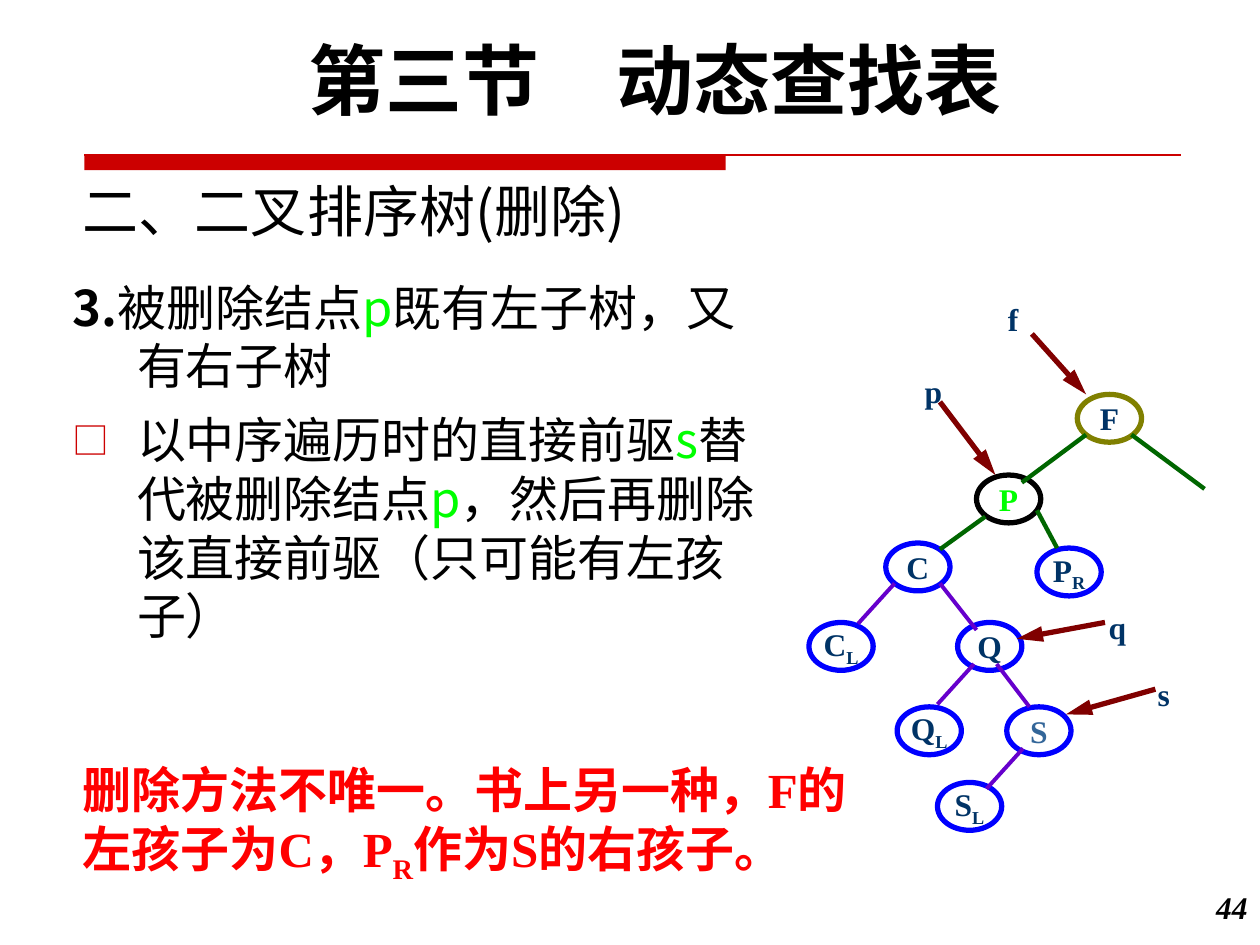
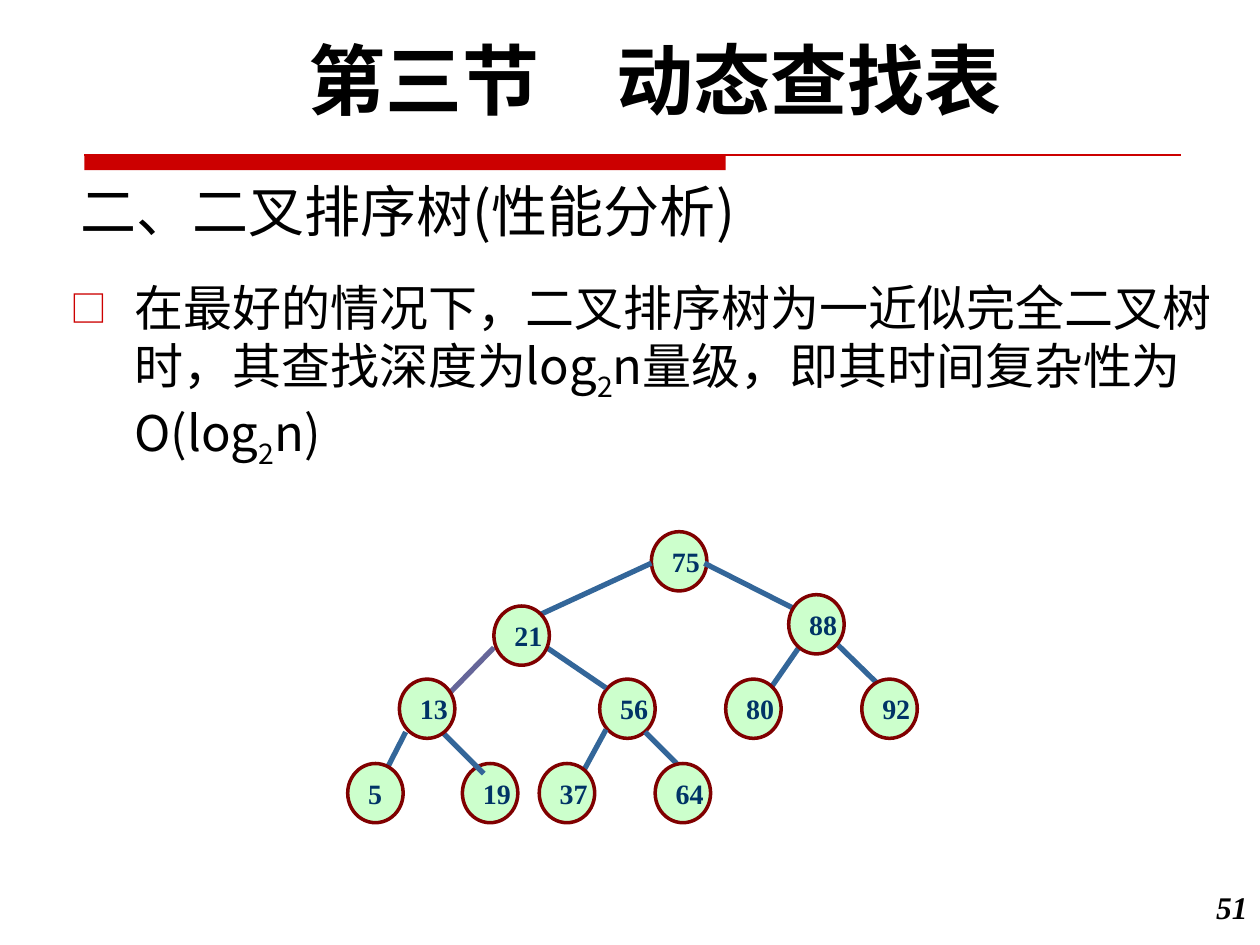
from dataclasses import dataclass
from typing import NamedTuple

from lxml import etree
from pptx import Presentation
from pptx.dml.color import RGBColor
from pptx.enum.shapes import MSO_CONNECTOR, MSO_SHAPE
from pptx.enum.text import MSO_ANCHOR, PP_ALIGN
from pptx.oxml.ns import qn
from pptx.util import Inches, Pt

LINE = MSO_CONNECTOR.STRAIGHT
OVAL, RECT = MSO_SHAPE.OVAL, MSO_SHAPE.RECTANGLE
TOP, MID, LOW = MSO_ANCHOR.TOP, MSO_ANCHOR.MIDDLE, MSO_ANCHOR.BOTTOM
LEFT, MIDST, RIGHT = PP_ALIGN.LEFT, PP_ALIGN.CENTER, PP_ALIGN.RIGHT

BLACK = RGBColor(0x00, 0x00, 0x00)
RED = RGBColor(0xCC, 0x00, 0x00)
BRIGHT = RGBColor(0xFF, 0x00, 0x00)
LIME = RGBColor(0x00, 0xFF, 0x00)
NAVY = RGBColor(0x00, 0x33, 0x66)
STEEL = RGBColor(0x33, 0x66, 0x99)
SLATE = RGBColor(0x66, 0x66, 0x99)
BLUE = RGBColor(0x00, 0x00, 0xFF)
OLIVE = RGBColor(0x80, 0x80, 0x00)
MAROON = RGBColor(0x80, 0x00, 0x00)
GREEN = RGBColor(0x00, 0x66, 0x00)
PURPLE = RGBColor(0x66, 0x00, 0xCC)
MINT = RGBColor(0xCC, 0xFF, 0xCC)

SANS, SERIF, HEAD = "Noto Sans CJK SC", "Times New Roman", "Cabin"
WIDE, HIGH = Inches(10), Inches(7.5)
COL, ROW = WIDE / 100, HIGH / 75
HANG = 5.1


class Box(NamedTuple):
    x: float
    y: float
    w: float
    h: float

    def place(self) -> tuple[int, int, int, int]:
        return (round(self.x * COL), round(self.y * ROW),
                round(self.w * COL), round(self.h * ROW))


class Run(NamedTuple):
    text: str
    tint: RGBColor = BLACK
    bold: bool = False
    sub: bool = False


@dataclass(frozen=True)
class Style:
    font: str
    size: float
    align: PP_ALIGN = LEFT
    slant: bool = False


@dataclass(frozen=True)
class Look:
    w: float
    h: float
    pen: float
    style: Style
    fill: RGBColor | None = None


@dataclass(frozen=True)
class Node:
    x: float
    y: float
    name: str
    sub: str = ""
    edge: RGBColor = BLUE
    ink: RGBColor = NAVY


@dataclass(frozen=True)
class Link:
    x1: float
    y1: float
    x2: float
    y2: float
    tint: RGBColor = STEEL
    pen: float = 3
    arrow: bool = False


BODY = Style(SANS, 28)
TAG = Style(SERIF, 18)
RING = Look(5.1, 3.8, 3, Style(SERIF, 18, MIDST))
DISC = Look(4.4, 4.7, 2, Style(SERIF, 16), MINT)


def write(para, runs: list[Run], style: Style) -> None:
    para.alignment = style.align
    for item in runs:
        run = para.add_run()
        run.text = item.text
        font = run.font
        font.name, font.size = style.font, Pt(style.size)
        font.bold, font.italic = item.bold, style.slant
        font.color.rgb = item.tint
        props = run._r.get_or_add_rPr()
        etree.SubElement(props, qn("a:ea")).set("typeface", SANS)
        if item.sub:
            props.set("baseline", "-25000")


def add_text(slide, box: Box, runs: list[Run], style: Style,
             anchor: MSO_ANCHOR = TOP, wrap: bool = True):
    frame = slide.shapes.add_textbox(*box.place()).text_frame
    frame.word_wrap, frame.vertical_anchor = wrap, anchor
    write(frame.paragraphs[0], runs, style)
    return frame


def hang(para, mark: bool) -> None:
    props = para._p.get_or_add_pPr()
    props.set("marL", str(round(HANG * COL)))
    props.set("indent", str(-round(HANG * COL)))
    if not mark:
        return
    tint = etree.SubElement(props, qn("a:buClr"))
    etree.SubElement(tint, qn("a:srgbClr")).set("val", str(RED))
    etree.SubElement(props, qn("a:buSzPct")).set("val", "75000")
    etree.SubElement(props, qn("a:buFont")).set("typeface", SANS)
    etree.SubElement(props, qn("a:buChar")).set("char", "□")


def add_link(slide, link: Link) -> None:
    line = slide.shapes.add_connector(
        LINE, round(link.x1 * COL), round(link.y1 * ROW),
        round(link.x2 * COL), round(link.y2 * ROW))
    line.line.color.rgb = link.tint
    line.line.width = Pt(link.pen)
    if link.arrow:
        tip = etree.SubElement(line.line._get_or_add_ln(), qn("a:tailEnd"))
        tip.set("type", "triangle")
        tip.set("len", "lg")
    etree.SubElement(line._element.spPr, qn("a:effectLst"))


def add_node(slide, node: Node, look: Look) -> None:
    box = Box(node.x, node.y, look.w, look.h)
    shape = slide.shapes.add_shape(OVAL, *box.place())
    shape.shadow.inherit = False
    if look.fill is None:
        shape.fill.background()
    else:
        shape.fill.solid()
        shape.fill.fore_color.rgb = look.fill
    shape.line.color.rgb, shape.line.width = node.edge, Pt(look.pen)
    frame = shape.text_frame
    frame.word_wrap, frame.vertical_anchor = False, MID
    runs = [Run(node.name, node.ink, True)]
    if node.sub:
        runs.append(Run(node.sub, node.ink, True, True))
    write(frame.paragraphs[0], runs, look.style)


def add_page(deck, topic: str, left: float, page: str):
    slide = deck.slides.add_slide(deck.slide_layouts[6])
    band = slide.shapes.add_shape(RECT, *Box(6.7, 12.3, 50.9, 1.2).place())
    band.shadow.inherit = False
    band.fill.solid()
    band.fill.fore_color.rgb = RED
    band.line.fill.background()
    add_link(slide, Link(6.7, 12.3, 93.7, 12.3, RED, 0.75))
    add_text(slide, Box(left, 12.3, 62.5, 7.5), [Run(topic)], Style(SANS, 32), LOW)
    add_text(slide, Box(93.3, 70, 6.7, 5), [Run(page, bold=True)],
             Style(SERIF, 18, RIGHT, True))
    add_text(slide, Box(5.8, 2.1, 92.5, 8.4), [Run("第三节　动态查找表", bold=True)],
             Style(HEAD, 44, MIDST))
    return slide


def draw_cut(deck) -> None:
    slide = add_page(deck, "二、二叉排序树(删除)", 5.6, "44")
    frame = add_text(slide, Box(4.8, 21.5, 56.7, 44.2), [
        Run("3.", bold=True), Run("被删除结点"), Run("p", LIME),
        Run("既有左子树，又有右子树")], BODY)
    hang(frame.paragraphs[0], False)
    para = frame.add_paragraph()
    hang(para, True)
    para.space_before = Pt(8.4)
    write(para, [
        Run("以中序遍历时的直接前驱"), Run("s", LIME), Run("替代被删除结点"),
        Run("p", LIME), Run("，然后再删除该直接前驱（只可能有左孩子）")], BODY)

    nodes = [
        Node(77.5, 37.7, "P", edge=BLACK, ink=LIME),
        Node(70.3, 43.1, "C"),
        Node(85.5, 31.3, "F", edge=OLIVE),
        Node(82.3, 43.5, "P", "R"),
        Node(64.2, 49.4, "C", "L"),
        Node(76, 49.4, "Q"),
        Node(74.4, 62.1, "S", "L"),
        Node(71.2, 56.1, "Q", "L"),
        Node(79.9, 56.1, "S", ink=STEEL),
    ]
    for node in nodes:
        add_node(slide, node, RING)

    upper = [(78.2, 41, 74.6, 43.6), (86.2, 34.5, 81.1, 38.3),
             (89.8, 34.5, 95.6, 38.8), (82.3, 40.5, 83.9, 43.5)]
    lower = [(71, 46.3, 68.1, 49.5), (74.6, 46.3, 77.5, 50),
             (77.3, 52.7, 74.4, 55.9), (79.1, 52.7, 81.7, 56.1),
             (81.2, 59.4, 78.3, 62.6)]
    hints = [(74.6, 31.9, 79, 37.7), (81.9, 26.5, 86.2, 31.3),
             (87.7, 49.4, 80.7, 50.7), (91.7, 54.7, 84.6, 56.7)]
    for group, tint, pen, arrow in ((upper, GREEN, 2.5, False),
                                    (lower, PURPLE, 2.25, False),
                                    (hints, MAROON, 3, True)):
        for ends in group:
            add_link(slide, Link(*ends, tint, pen, arrow))

    for x, y, name in ((72.4, 29, "p"), (79, 23.3, "f"),
                       (87, 47.8, "q"), (90.9, 53.1, "s")):
        add_text(slide, Box(x, y, 3.4, 4), [Run(name, NAVY, True)], TAG, wrap=False)

    add_text(slide, Box(5.6, 59.8, 63.7, 10.4), [
        Run("删除方法不唯一。书上另一种，F的左孩子为C，P", BRIGHT, True),
        Run("R", BRIGHT, True, True),
        Run("作为S的右孩子。", BRIGHT, True)], Style(SERIF, 28))


def draw_cost(deck) -> None:
    slide = add_page(deck, "二、二叉排序树(性能分析)", 5.4, "51")
    frame = add_text(slide, Box(4.6, 21.5, 95.4, 18.3), [
        Run("在最好的情况下，二叉排序树为一近似完全二叉树时，其查找深度为log"),
        Run("2", sub=True), Run("n量级，即其时间复杂性为O(log"),
        Run("2", sub=True), Run("n)")], BODY)
    hang(frame.paragraphs[0], True)

    back = [(51.7, 42.2, "75"), (47.6, 53.9, "56"), (36.7, 60.6, "19")]
    front = [(52, 60.6, "64"), (27.6, 60.6, "5"), (42.8, 60.6, "37"),
             (39.2, 48.1, "21"), (57.6, 53.9, "80"), (31.7, 53.9, "13"),
             (62.6, 47.2, "88"), (68.4, 53.9, "92")]
    links = [
        Link(51.7, 44.7, 42.6, 48.9), Link(39.2, 51.4, 35.1, 55.6, SLATE),
        Link(55.9, 44.7, 64.2, 48.9), Link(43.4, 51.4, 48.1, 54.6),
        Link(48.1, 57.9, 46.2, 61.4), Link(65.9, 50.6, 70.1, 54.7),
        Link(32.2, 58.1, 30.1, 62.2), Link(35.1, 58.1, 38.4, 61.4),
        Link(51.2, 58.1, 53.7, 60.6), Link(63.4, 51.4, 60.9, 55),
    ]
    for spot in back:
        add_node(slide, Node(*spot, edge=MAROON), DISC)
    for link in links:
        add_link(slide, link)
    for spot in front:
        add_node(slide, Node(*spot, edge=MAROON), DISC)


def main() -> None:
    deck = Presentation()
    deck.slide_width, deck.slide_height = WIDE, HIGH
    draw_cut(deck)
    draw_cost(deck)
    deck.save("out.pptx")


if __name__ == "__main__":
    main()
